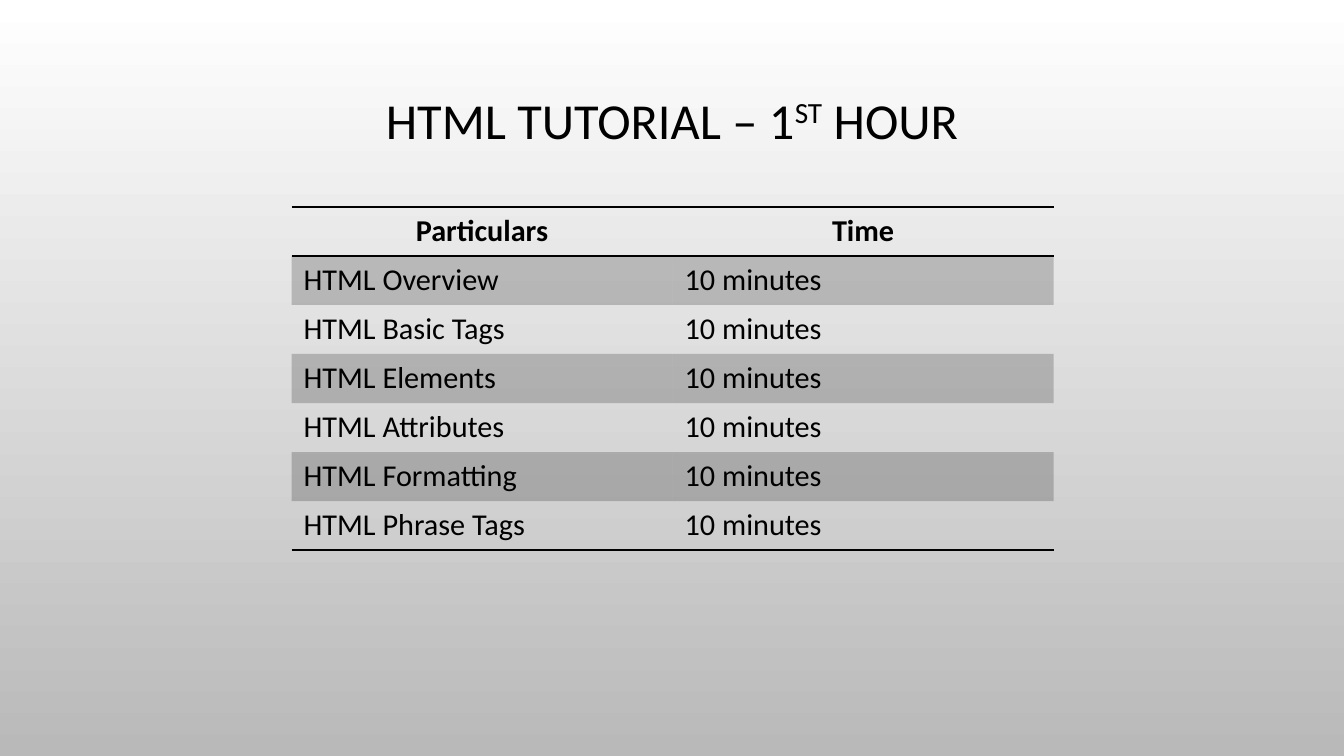
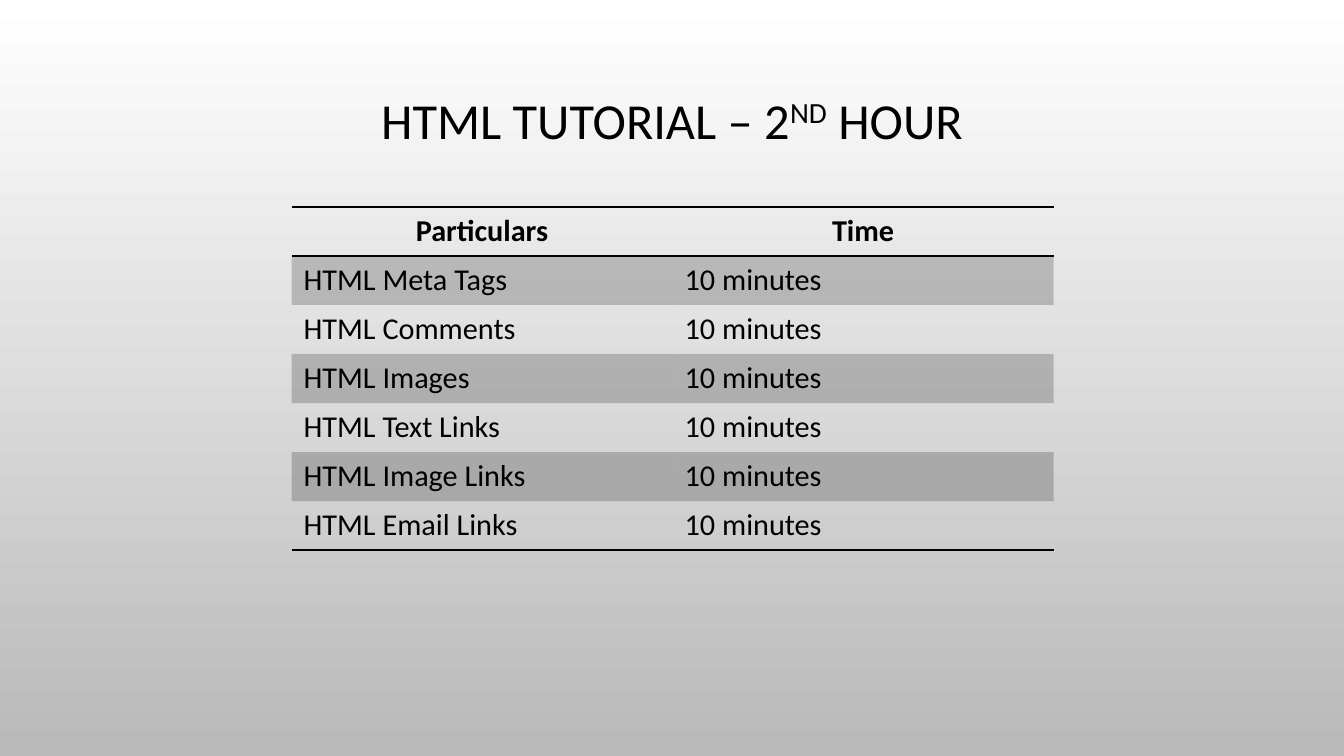
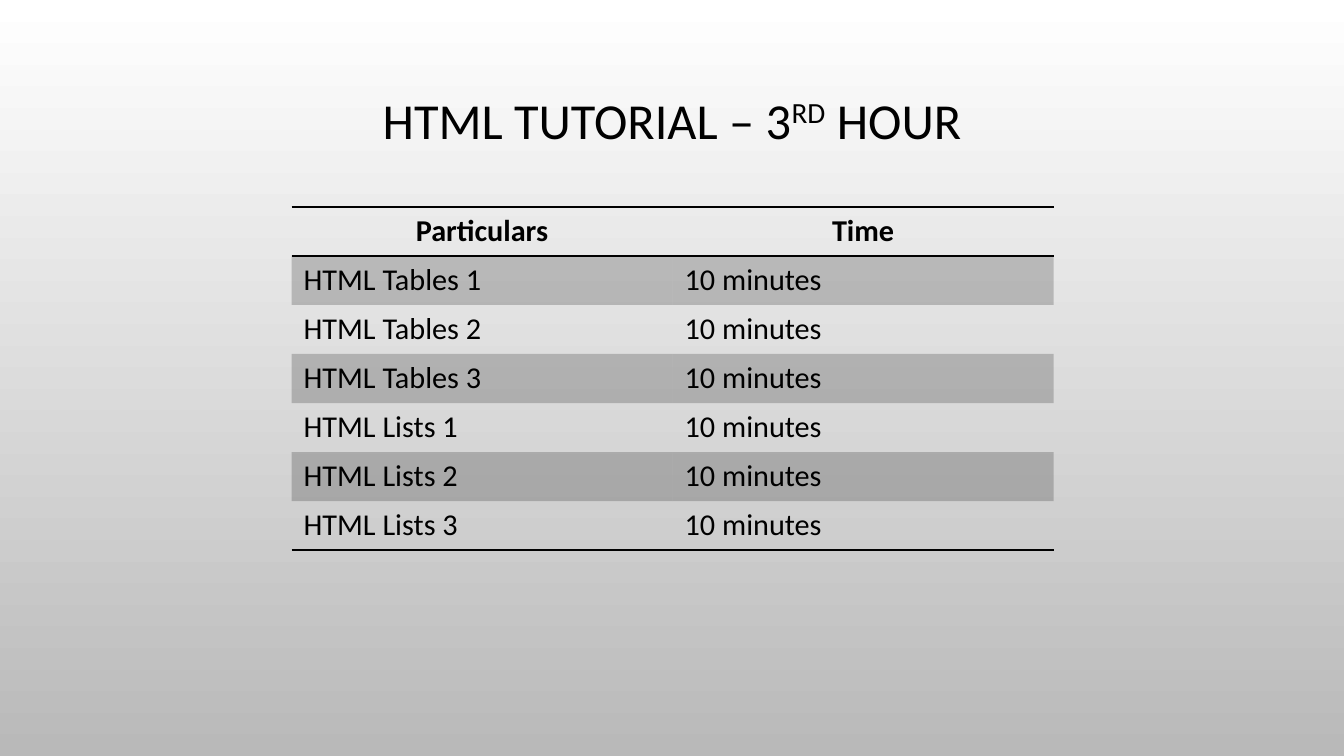
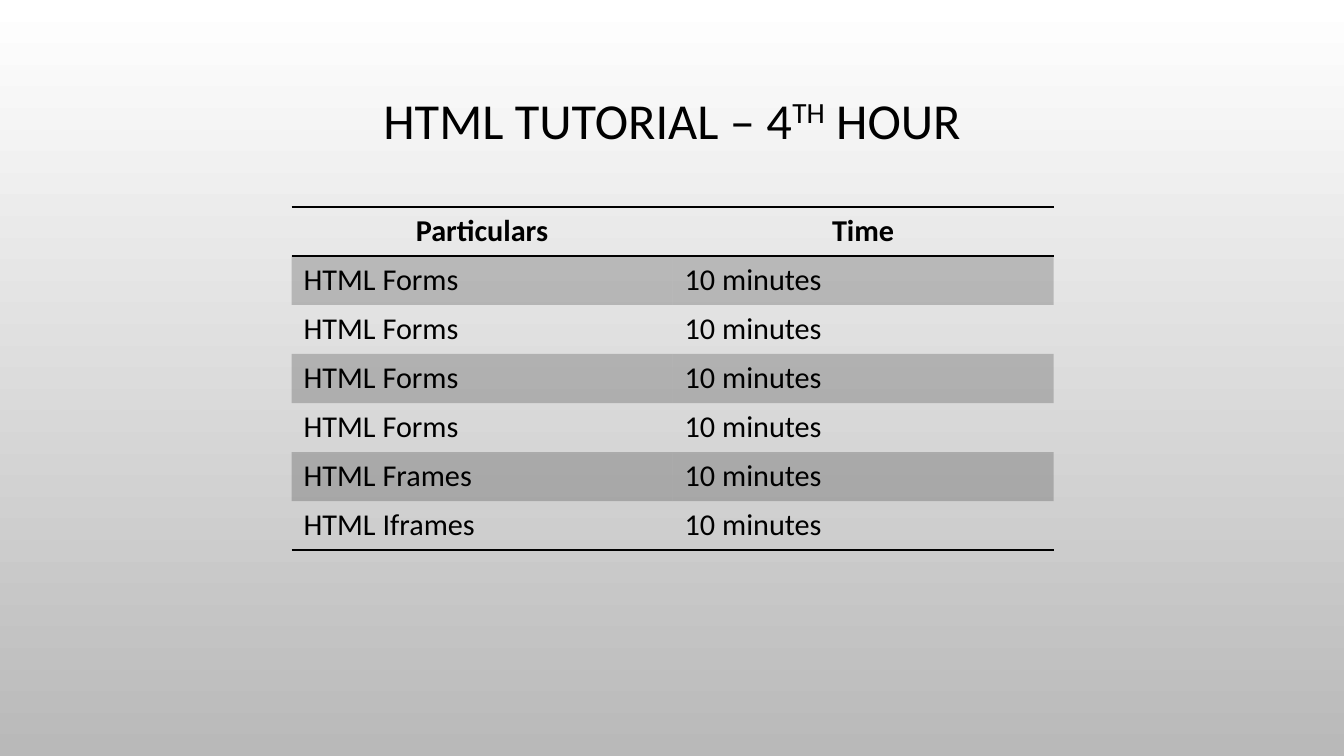
from dataclasses import dataclass

from lxml import etree
from pptx import Presentation
from pptx import util as u
from pptx.dml.color import RGBColor
from pptx.enum import text
from pptx.oxml import ns

HEADINGS = ("Particulars", "Time")
DURATION = "10 minutes"
HOURS = [
    ("1", "ST", ["HTML Overview", "HTML Basic Tags", "HTML Elements",
                 "HTML Attributes", "HTML Formatting", "HTML Phrase Tags"]),
    ("2", "ND", ["HTML Meta Tags", "HTML Comments", "HTML Images",
                 "HTML Text Links", "HTML Image Links", "HTML Email Links"]),
    ("3", "RD", ["HTML Tables 1", "HTML Tables 2", "HTML Tables 3",
                 "HTML Lists 1", "HTML Lists 2", "HTML Lists 3"]),
    ("4", "TH", ["HTML Forms", "HTML Forms", "HTML Forms",
                 "HTML Forms", "HTML Frames", "HTML Iframes"]),
]


@dataclass(frozen=True)
class Theme:
    font: str = "Calibri"
    ink: str = "000000"
    gradient: tuple = ("FFFFFF", "B9B9B9")
    title_size: int = 30
    table_size: int = 18
    band_opacity: int = 20
    rule_width: int = 1
    superscript: int = 30


THEME = Theme()
SLIDE_SIZE = (u.Inches(11.11), u.Inches(6.25))
TITLE_BOX = dict(left=u.Inches(0.83), top=u.Inches(0.56),
                 width=u.Inches(9.45), height=u.Inches(0.91))
TABLE_BOX = [u.Inches(n) for n in (2.41, 1.71, 6.3, 2.84)]
NO_STYLE_NO_GRID = "{2D5ABB26-0587-4C30-8999-92F81FD0307C}"


def set_attributes(target, values):
    for name, value in values.items():
        setattr(target, name, value)


def set_font(font, size, bold=False):
    set_attributes(font, dict(name=THEME.font, size=u.Pt(size), bold=bold))
    font.color.rgb = RGBColor.from_string(THEME.ink)


def set_up_template(presentation):
    """Give every slide the gradient and the title position; return the layout."""
    presentation.slide_width, presentation.slide_height = SLIDE_SIZE
    fill = presentation.slide_master.background.fill
    fill.gradient()
    fill.gradient_angle = 270
    for stop, color in zip(fill.gradient_stops, THEME.gradient):
        stop.color.rgb = RGBColor.from_string(color)
    layout = presentation.slide_layouts.get_by_name("Title Only")
    set_attributes(layout.placeholders[0], TITLE_BOX)
    return layout


def write_title(title, number, ordinal):
    frame = title.text_frame
    set_attributes(frame, dict(vertical_anchor=text.MSO_ANCHOR.MIDDLE, word_wrap=True))
    paragraph = frame.paragraphs[0]
    set_attributes(paragraph, dict(alignment=text.PP_ALIGN.CENTER, line_spacing=0.9))
    parts = [(f"HTML TUTORIAL – {number}", 0), (ordinal, THEME.superscript), (" HOUR", 0)]
    for words, raised in parts:
        run = paragraph.add_run()
        run.text = words
        set_font(run.font, THEME.title_size)
        if raised:
            run._r.get_or_add_rPr().set("baseline", str(raised * 1000))


def add_rules(cell, sides):
    """Draw the cell borders named in sides (T, B) and clear the others."""
    properties = cell._tc.get_or_add_tcPr()
    for position, side in enumerate("LRTB"):
        line = etree.Element(ns.qn(f"a:ln{side}"), w=str(u.Pt(THEME.rule_width)))
        if side in sides:
            solid = etree.SubElement(line, ns.qn("a:solidFill"))
            etree.SubElement(solid, ns.qn("a:srgbClr"), val=THEME.ink)
        else:
            etree.SubElement(line, ns.qn("a:noFill"))
        properties.insert(position, line)


def fill_band(cell):
    cell.fill.solid()
    cell.fill.fore_color.rgb = RGBColor.from_string(THEME.ink)
    color = cell._tc.tcPr.find(".//" + ns.qn("a:solidFill") + "/" + ns.qn("a:srgbClr"))
    etree.SubElement(color, ns.qn("a:alpha"), val=str(THEME.band_opacity * 1000))


def add_schedule(slide, topics):
    rows = [HEADINGS] + [(topic, DURATION) for topic in topics]
    frame = slide.shapes.add_table(len(rows), len(HEADINGS), *TABLE_BOX)
    table = frame.table
    set_attributes(table, dict(first_row=True, horz_banding=False))
    next(frame._element.iter(ns.qn("a:tableStyleId"))).text = NO_STYLE_NO_GRID
    last = len(rows) - 1
    for row, values in enumerate(rows):
        header = row == 0
        # Neighbouring cells state their shared rule alike.
        sides = {0: "TB", 1: "T", last: "B"}.get(row, "")
        for column, value in enumerate(values):
            cell = table.cell(row, column)
            cell.text = value
            paragraph = cell.text_frame.paragraphs[0]
            paragraph.alignment = text.PP_ALIGN.CENTER if header else text.PP_ALIGN.LEFT
            set_font(paragraph.runs[0].font, THEME.table_size, bold=header)
            if row % 2:
                fill_band(cell)
            else:
                cell.fill.background()
            add_rules(cell, sides)


def main():
    presentation = Presentation()
    layout = set_up_template(presentation)
    for number, ordinal, topics in HOURS:
        slide = presentation.slides.add_slide(layout)
        write_title(slide.shapes.title, number, ordinal)
        add_schedule(slide, topics)
    presentation.save("out.pptx")


if __name__ == "__main__":
    main()
